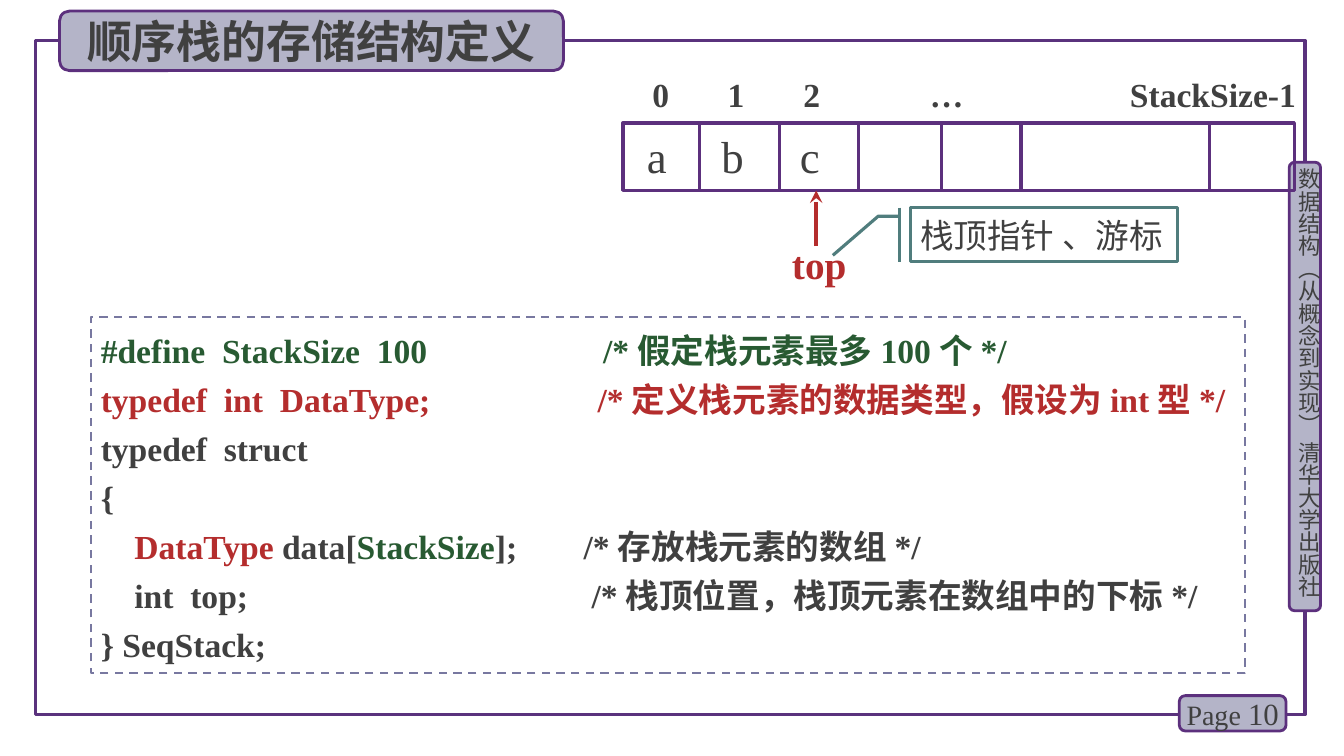
from lxml.etree import SubElement
from pptx import Presentation
from pptx.dml.color import RGBColor
from pptx.enum.dml import MSO_LINE
from pptx.enum.shapes import MSO_CONNECTOR, MSO_SHAPE as Preset
from pptx.enum.text import MSO_ANCHOR as Anchor, PP_ALIGN as Align
from pptx.oxml.ns import qn
from pptx.util import Cm, Pt

PURPLE = RGBColor(0x5C, 0x30, 0x7D)
FRAME_PURPLE = RGBColor(0x5A, 0x32, 0x7D)
LAVENDER = RGBColor(0xB4, 0xB4, 0xC8)
DASH_GREY = RGBColor(0x78, 0x78, 0xA0)
TEAL = RGBColor(0x50, 0x7D, 0x7D)
DARK = RGBColor(0x40, 0x40, 0x40)
RED = RGBColor(0xB4, 0x2D, 0x2D)
GREEN = RGBColor(0x28, 0x5A, 0x32)
SERIF = "Times New Roman"
HAN = "Noto Sans CJK SC"


def add_box(slide, box, color, width, preset=Preset.RECTANGLE, fill=None):
    shape = slide.shapes.add_shape(preset, *map(Cm, box))
    shape.shadow.inherit = False
    if fill is None:
        shape.fill.background()
    else:
        shape.fill.solid()
        shape.fill.fore_color.rgb = fill
    shape.line.color.rgb = color
    shape.line.width = Pt(width)
    return shape


def add_plate(slide, box):
    return add_box(slide, box, PURPLE, 2, Preset.ROUNDED_RECTANGLE, LAVENDER)


def add_line(slide, start, end, color, width):
    line = slide.shapes.add_connector(
        MSO_CONNECTOR.STRAIGHT, *map(Cm, (*start, *end)))
    line.line.color.rgb = color
    line.line.width = Pt(width)
    SubElement(line._element.spPr, qn("a:effectLst"))
    return line


def write(paragraph, text, size=24, font=SERIF, color=DARK, bold=False):
    """Append a run, with the Han font for its Chinese characters."""
    run = paragraph.add_run()
    run.text = text
    run.font.size = Pt(size)
    run.font.name = font
    run.font.bold = bold
    run.font.color.rgb = color
    SubElement(run._r.get_or_add_rPr(), qn("a:ea"), typeface=HAN)


def set_tabs(paragraph, stops, align):
    tab_list = SubElement(paragraph._p.get_or_add_pPr(), qn("a:tabLst"))
    for stop in stops:
        SubElement(tab_list, qn("a:tab"), pos=str(int(Cm(stop))), algn=align)


def prepare_frame(shape, align=Align.LEFT, anchor=Anchor.TOP, inset=None):
    """Set up the text frame of a shape and return it."""
    frame = shape.text_frame
    frame.word_wrap = True
    frame.vertical_anchor = anchor
    frame.paragraphs[0].alignment = align
    if inset is not None:
        frame.margin_left = frame.margin_right = Cm(inset)
        frame.margin_top = frame.margin_bottom = Cm(inset)
    return frame


def add_label(slide, box, text, tabs=(), **style):
    frame = prepare_frame(slide.shapes.add_textbox(*map(Cm, box)))
    if tabs:
        frame.margin_right = 0
        set_tabs(frame.paragraphs[0], tabs, "ctr")
    write(frame.paragraphs[0], text, **style)


def draw_book_tab(slide, box):
    left, top, width, height = box
    add_plate(slide, box)
    book = slide.shapes.add_textbox(
        *map(Cm, (left + 0.15, top + 0.15, width - 0.1, height + 0.1)))
    frame = prepare_frame(book, anchor=Anchor.MIDDLE, inset=0)
    frame._txBody.bodyPr.set("vert", "eaVert")
    write(frame.paragraphs[0], "数据结构（从概念到实现） 清华大学出版社",
          size=16, font=HAN)


def draw_page_number(slide, box):
    frame = prepare_frame(add_plate(slide, box), Align.CENTER, Anchor.MIDDLE, 0)
    write(frame.paragraphs[0], "Page ", size=20)
    write(frame.paragraphs[0], "10", size=22)


def draw_title(slide, box):
    frame = prepare_frame(add_plate(slide, box), Align.CENTER, Anchor.MIDDLE, 0)
    write(frame.paragraphs[0], "顺序栈的存储结构定义",
          size=32, font=HAN, bold=True)


def draw_code(slide, box):
    # Each line: the column of its comment in cm, then its coloured pieces
    code_lines = [
        (12.66, [("#define  StackSize  100\t/*假定栈元素最多100个*/", GREEN)]),
        (12.52, [("typedef  int  DataType;\t/*定义栈元素的数据类型，假设为int型*/", RED)]),
        (None, [("typedef  struct", DARK)]),
        (None, [("{", DARK)]),
        (12.17, [("    DataType ", RED), ("data[", DARK), ("StackSize", GREEN),
                 ("];\t/*存放栈元素的数组*/", DARK)]),
        (12.37, [("    int  top;\t/*栈顶位置，栈顶元素在数组中的下标*/", DARK)]),
        (None, [("} SeqStack;", DARK)]),
    ]
    panel = add_box(slide, box, DASH_GREY, 1.5)
    panel.line.dash_style = MSO_LINE.DASH
    frame = prepare_frame(panel)
    for number, (comment_column, pieces) in enumerate(code_lines):
        paragraph = frame.add_paragraph() if number else frame.paragraphs[0]
        if comment_column:
            set_tabs(paragraph, [comment_column], "l")
        paragraph.alignment = Align.LEFT
        paragraph.line_spacing = Pt(35)
        for text, color in pieces:
            write(paragraph, text, color=color, bold=True)


def draw_stack_array(slide, box):
    """Draw the array cells with their indices and their elements."""
    left, top, width, height = box
    add_label(slide, (left - 0.13, top - 1.35, width + 0.5, 1.27),
              "\t0\t1\t2\t…\tStackSize-1",
              tabs=(0.83, 2.73, 4.64, 8.04, 14.75), bold=True)
    add_box(slide, box, PURPLE, 2.25)
    for offset in (1.93, 3.94, 5.94, 8.03, 10.03, 14.78):
        x = left + offset
        add_line(slide, (x, top), (x, top + height), PURPLE, 2.25)
    add_label(slide, (left + 0.35, top + 0.02, 9.68, 1.63), "a\tb\tc",
              tabs=(2.16, 4.11), size=32)


def draw_top_pointer(slide, box):
    """Draw the arrow to the top element, its name and its callout."""
    left, top, width, height = box
    arrow_x = left + 0.86
    arrow = add_line(slide, (arrow_x, top + 1.4), (arrow_x, top), RED, 3)
    SubElement(arrow.line._get_or_add_ln(), qn("a:tailEnd"), type="stealth")
    add_label(slide, (left, top + 1.14, 2.01, 1.45), "top",
              size=28, color=RED, bold=True)
    add_label(slide, (left + width - 3.15, top + 0.48, 3.15, 1.27),
              "、游标", font=HAN)
    callout = add_box(slide, (left + 3.23, top + 0.43, width - 3.23, 1.37),
                      TEAL, 2.25, Preset.LINE_CALLOUT_2_BORDER_AND_ACCENT_BAR)
    for index, value in enumerate((0.16, -0.04, 0.16, -0.12, 0.88, -0.29)):
        callout.adjustments[index] = value
    frame = prepare_frame(callout, anchor=Anchor.MIDDLE)
    write(frame.paragraphs[0], "栈顶指针", font=HAN)


def main():
    deck = Presentation()
    deck.slide_width, deck.slide_height = Cm(33.87), Cm(19.05)
    slide = deck.slides.add_slide(deck.slide_layouts[6])
    add_box(slide, (0.89, 1.02, 32, 16.99), FRAME_PURPLE, 2.25)
    draw_book_tab(slide, (32.49, 4.09, 0.79, 11.3))
    draw_page_number(slide, (29.72, 17.53, 2.69, 0.89))
    draw_code(slide, (2.29, 7.98, 29.08, 8.99))
    draw_title(slide, (1.5, 0.28, 12.7, 1.5))
    draw_stack_array(slide, (15.7, 3.1, 16.92, 1.7))
    draw_top_pointer(slide, (19.71, 4.8, 9.96, 2.59))
    deck.save("out.pptx")


if __name__ == "__main__":
    main()
